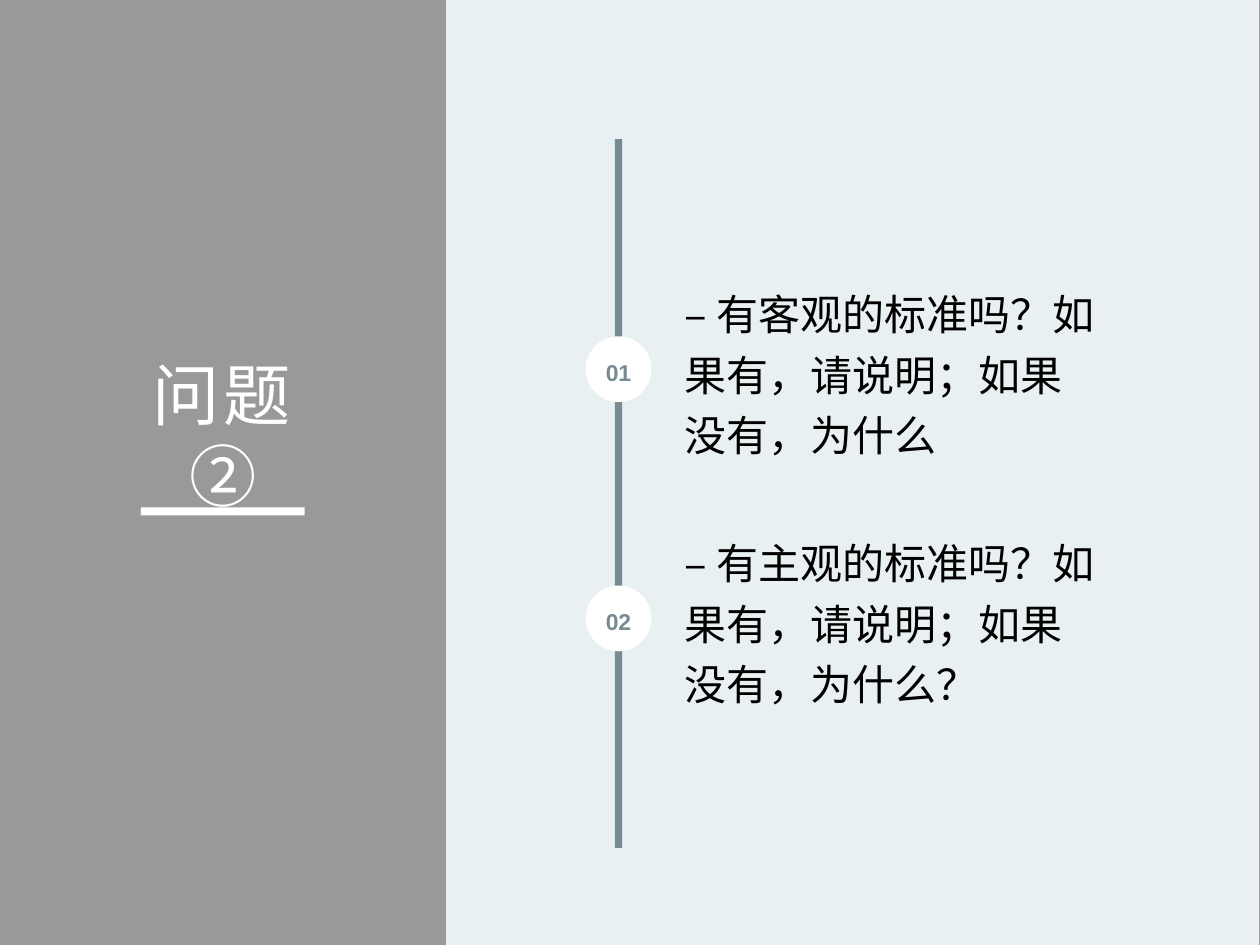
from dataclasses import dataclass

from lxml import etree
from pptx import Presentation
from pptx.dml.color import RGBColor
from pptx.enum.shapes import MSO_SHAPE
from pptx.enum.text import MSO_ANCHOR, PP_ALIGN
from pptx.oxml.ns import qn
from pptx.util import Pt

RECTANGLE, OVAL = MSO_SHAPE.RECTANGLE, MSO_SHAPE.OVAL
LEFT, CENTER = PP_ALIGN.LEFT, PP_ALIGN.CENTER
MIDDLE = MSO_ANCHOR.MIDDLE


@dataclass(frozen=True)
class Theme:
    font: str = "Arial"
    black: str = "000000"
    white: str = "FFFFFF"
    panel: str = "E9F0F2"
    slate: str = "778C92"
    title_size: float = 38.4
    question_size: float = 24
    number_size: float = 13.1


THEME = Theme()
QUESTIONS = [
    "– 有客观的标准吗？如果有，请说明；如果没有，为什么",
    "– 有主观的标准吗？如果有，请说明；如果没有，为什么？",
]
TIMELINE_CENTER = 353.5
FIRST_CENTER, QUESTION_STEP = 211, 142.4
CIRCLE_SIZE = 37.6
QUESTION_LEFT, QUESTION_WIDTH, QUESTION_HEIGHT = 386, 247.6, 103.6


def add_filled_shape(slide, kind, left, top, width, height, color):
    shape = slide.shapes.add_shape(kind, Pt(left), Pt(top), Pt(width), Pt(height))
    shape.shadow.inherit = False
    shape.fill.solid()
    shape.fill.fore_color.rgb = RGBColor.from_string(color)
    shape.line.fill.background()
    return shape


def set_opacity(shape, percent):
    color = shape.fill._xPr.find(qn("a:solidFill"))[0]
    etree.SubElement(color, qn("a:alpha"), val=str(percent * 1000))


def add_text_box(slide, left, top, width, height):
    return slide.shapes.add_textbox(Pt(left), Pt(top), Pt(width), Pt(height))


def write_text(shape, text, size, color, alignment=LEFT, bold=False, line_spacing=None):
    frame = shape.text_frame
    frame.word_wrap = True
    frame.vertical_anchor = MIDDLE
    frame.margin_left = frame.margin_right = Pt(5)
    frame.margin_top = frame.margin_bottom = Pt(2.6)
    paragraph = frame.paragraphs[0]
    paragraph.text = text
    paragraph.alignment = alignment
    paragraph.line_spacing = line_spacing
    font = paragraph.font
    font.name, font.size, font.bold = THEME.font, Pt(size), bold
    font.color.rgb = RGBColor.from_string(color)


def add_title(slide, text):
    title = add_text_box(slide, 62, 215.2, 131, 65.6)
    write_text(title, text, THEME.title_size, THEME.white, CENTER)
    title.text_frame.margin_left = title.text_frame.margin_right = Pt(7.2)
    run = title.text_frame.paragraphs[0].runs[0]
    run.font._element.set("spc", "200")
    add_filled_shape(slide, RECTANGLE, 80.6, 290, 93.6, 4.6, THEME.white)


def add_question(slide, index, text):
    center = FIRST_CENTER + index * QUESTION_STEP
    circle = add_filled_shape(
        slide, OVAL, TIMELINE_CENTER - CIRCLE_SIZE / 2, center - CIRCLE_SIZE / 2,
        CIRCLE_SIZE, CIRCLE_SIZE, THEME.white)
    write_text(circle, f"{index + 1:02d}", THEME.number_size, THEME.slate,
               CENTER, bold=True, line_spacing=1.2)
    box = add_text_box(slide, QUESTION_LEFT, center - QUESTION_HEIGHT / 2,
                       QUESTION_WIDTH, QUESTION_HEIGHT)
    write_text(box, text, THEME.question_size, THEME.black, line_spacing=1.2)


def main():
    presentation = Presentation()
    presentation.slide_width, presentation.slide_height = Pt(720), Pt(540)
    slide = presentation.slides.add_slide(presentation.slide_layouts[6])

    backdrop = add_filled_shape(slide, RECTANGLE, 0, 0, 720, 540, THEME.black)
    set_opacity(backdrop, 40)
    add_filled_shape(slide, RECTANGLE, 255, 0, 464.6, 540, THEME.panel)
    add_title(slide, "问题②")
    add_filled_shape(slide, RECTANGLE, TIMELINE_CENTER - 2.1, 79.6, 4.2, 405, THEME.slate)
    for index, question in enumerate(QUESTIONS):
        add_question(slide, index, question)

    presentation.save("out.pptx")


if __name__ == "__main__":
    main()
